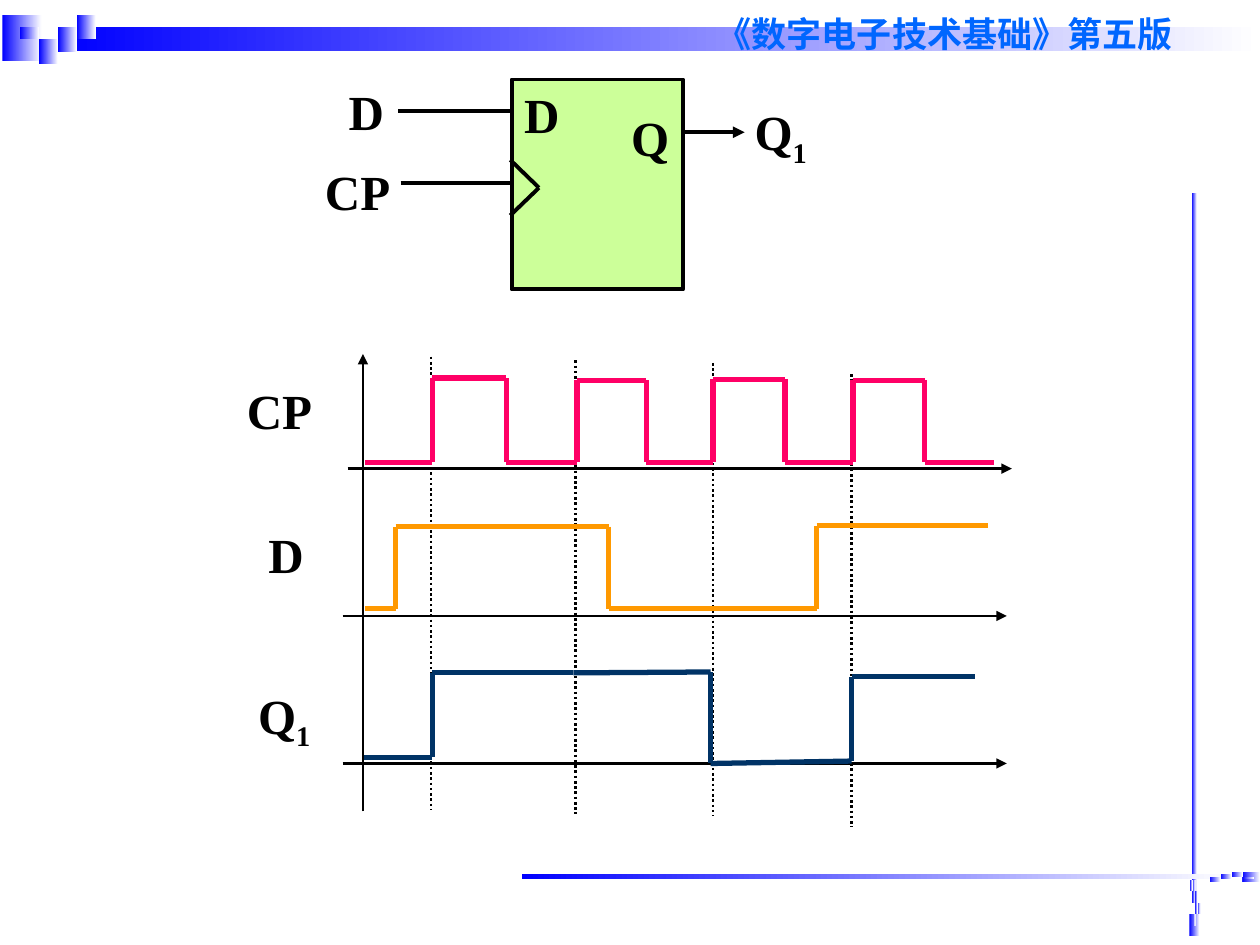
from itertools import pairwise

from pptx import Presentation
from pptx.dml.color import RGBColor
from pptx.enum.dml import MSO_LINE
from pptx.enum.shapes import MSO_CONNECTOR, MSO_SHAPE
from pptx.enum.text import MSO_ANCHOR, PP_ALIGN
from pptx.oxml.ns import qn
from pptx.util import Pt
from lxml.etree import SubElement

LABEL = {"size": Pt(28), "name": "Times New Roman", "bold": True}
TITLE = {"size": Pt(20), "name": "Arial", "bold": True}
BLACK = "000000"


def color(hex_string):
    """Turn a hex string into a colour."""
    return RGBColor.from_string(hex_string)


def add_rectangle(slide, box):
    """Add a shadowless rectangle without outline."""
    shape = slide.shapes.add_shape(MSO_SHAPE.RECTANGLE, *map(Pt, box))
    shape.shadow.inherit = False
    shape.line.fill.background()
    return shape


def add_line(slide, start, end, line_color=BLACK, width=1.5, dash=None, arrow=False):
    """Add a straight line, optionally dashed or with an arrowhead."""
    connector = slide.shapes.add_connector(
        MSO_CONNECTOR.STRAIGHT, *map(Pt, (*start, *end)))
    connector.line.color.rgb = color(line_color)
    connector.line.width = Pt(width)
    if dash:
        connector.line.dash_style = dash
    if arrow:
        SubElement(connector.line._get_or_add_ln(), qn("a:tailEnd"), type="triangle")
    SubElement(connector._element.spPr, qn("a:effectLst"))


def add_text(slide, box, text, font=LABEL, text_color=BLACK, subscript="", centered=False):
    """Add one line of text, with an optional subscript after it."""
    frame = slide.shapes.add_textbox(*map(Pt, box)).text_frame
    frame.word_wrap = True
    paragraph = frame.paragraphs[0]
    if centered:
        frame.vertical_anchor = MSO_ANCHOR.MIDDLE
        paragraph.alignment = PP_ALIGN.CENTER
    for part in filter(None, (text, subscript)):
        run = paragraph.add_run()
        run.text = part
        for name, value in font.items():
            setattr(run.font, name, value)
        run.font.color.rgb = color(text_color)
    if subscript:
        run._r.get_or_add_rPr().set("baseline", "-25000")


def add_ornament(slide, box, panels, step, cells):
    """Draw gradient panels and a grid of small gradient cells at the box."""
    left, top = box
    column, row = step
    small = [(i * column, j * row, column, row) for i, j in cells]
    for x, y, width, height in panels + small:
        fill = add_rectangle(slide, (left + x, top + y, width, height)).fill
        fill.gradient()
        fill.gradient_angle = 0
        for stop, stop_color in zip(fill.gradient_stops, ("0000FF", "FFFFFF")):
            stop.color.rgb = color(stop_color)


def add_flip_flop(slide, box):
    """Draw the D flip-flop symbol with its inputs and output."""
    left, top = box

    def at(x, y, *size):
        return (left + x, top + y, *size)

    body = add_rectangle(slide, at(114.3, 2.4, 98, 120))
    body.fill.solid()
    body.fill.fore_color.rgb = color("CCFF99")
    body.line.color.rgb = color(BLACK)
    body.line.width = Pt(2.25)
    clock = [(113.6, 48.4), (130, 64.3), (113.6, 80.1)]
    inputs = [((49.5, 20.4), (113.6, 20.4)), ((51, 61.4), (113.6, 61.4))]
    for start, end in [*inputs, *pairwise(clock)]:
        add_line(slide, at(*start), at(*end), width=2.25)
    add_line(slide, at(212.2, 32.6), at(247.5, 32.6), width=2.25, arrow=True)
    add_text(slide, at(114.3, 1.6, 34.6, 41), "D", centered=True)
    add_text(slide, at(175.5, 14.6, 36, 41), "Q", centered=True)
    add_text(slide, at(14.2, 0.2, 41, 41), "D")
    add_text(slide, at(0.6, 45.6, 53, 41), "CP")
    add_text(slide, at(246.1, 11.7, 57, 45), "Q", subscript="1")


def add_timing_diagram(slide, box):
    """Draw the axes, clock edges and waveforms of CP, D and Q1."""
    left, top = box

    def at(x, y, *size):
        return (left + x, top + y, *size)

    for x, y in [(112.2, 1.8), (195, 3.9), (273.5, 5.4), (352.7, 11.8)]:
        add_line(slide, at(x, y), at(x, y + 259), dash=MSO_LINE.ROUND_DOT)
    for x, y in [(64.7, 65.8), (61.8, 150), (61.8, 234.3)]:
        add_line(slide, at(x, y), at(x + 379.5, y), arrow=True)
    add_line(slide, at(73.4, 261.7), at(73.4, 0.3), arrow=True)

    pulses = [(113, 155.4, 14), (195.8, 235.4, 15.4),
              (273.5, 314.6, 14.7), (353.4, 394.5, 15.4)]
    low = 62.2
    clock = [(74.8, low)]
    for rise, fall, high in pulses:
        clock += [(rise, low), (rise, high), (fall, high), (fall, low)]
    clock.append((434.1, low))
    data = [(74.8, 145.8), (92.1, 145.8), (92.1, 99), (213.8, 99),
            (213.8, 145.8), (332.6, 145.8), (332.6, 98.5), (430.5, 98.5)]
    output = [(74.1, 230.7), (113, 230.7), (113, 182.5), (193.6, 182.5),
              (272.1, 182), (272.1, 234.3), (352.7, 232.9), (352.7, 184.6),
              (423.3, 184.6)]
    for points, wave_color in [(clock, "FF0066"), (data, "FF9900"), (output, "003366")]:
        for start, end in pairwise(points):
            add_line(slide, at(*start), at(*end), wave_color, 3)

    add_text(slide, at(0, 11.8, 54, 41), "CP")
    add_text(slide, at(12.2, 93.9, 48, 41), "D")
    add_text(slide, at(6.4, 186.1, 54, 45), "Q", subscript="1")


def main():
    """Build and save the slide."""
    presentation = Presentation()
    presentation.slide_width, presentation.slide_height = Pt(720), Pt(540)
    slide = presentation.slides.add_slide(presentation.slide_layouts[6])
    add_ornament(slide, (11.5, 8.5),
                 [(-10.1, 0, 22.3, 26.6), (22.3, 6.8, 686.2, 13.7)], (10.8, 7),
                 [(2, 1), (3, 0), (3, 1), (1, 2), (0, 1), (2, 2), (1, 3)])
    add_ornament(slide, (680, 502.9),
                 [(-0.3, 19.1, 5.8, 13), (1.1, -392.7, 2.9, 406)], (1.45, 6.5),
                 [(1, 1), (0, 0), (1, 0), (2, 2), (1, 3), (2, 1), (3, 2)])
    add_ornament(slide, (691.2, 498.2),
                 [(18.7, 0, 10.1, 5.8), (-393.1, 1.5, 406, 2.9)], (6.3, 1.4),
                 [(1, 2), (0, 3), (0, 2), (2, 1), (3, 2), (1, 1), (2, 0)])
    add_text(slide, (402.5, 3.6, 292, 32), "《数字电子技术基础》第五版", TITLE, "0066FF")
    add_timing_diagram(slide, (134, 202))
    add_flip_flop(slide, (178, 43))
    presentation.save("out.pptx")


if __name__ == "__main__":
    main()
